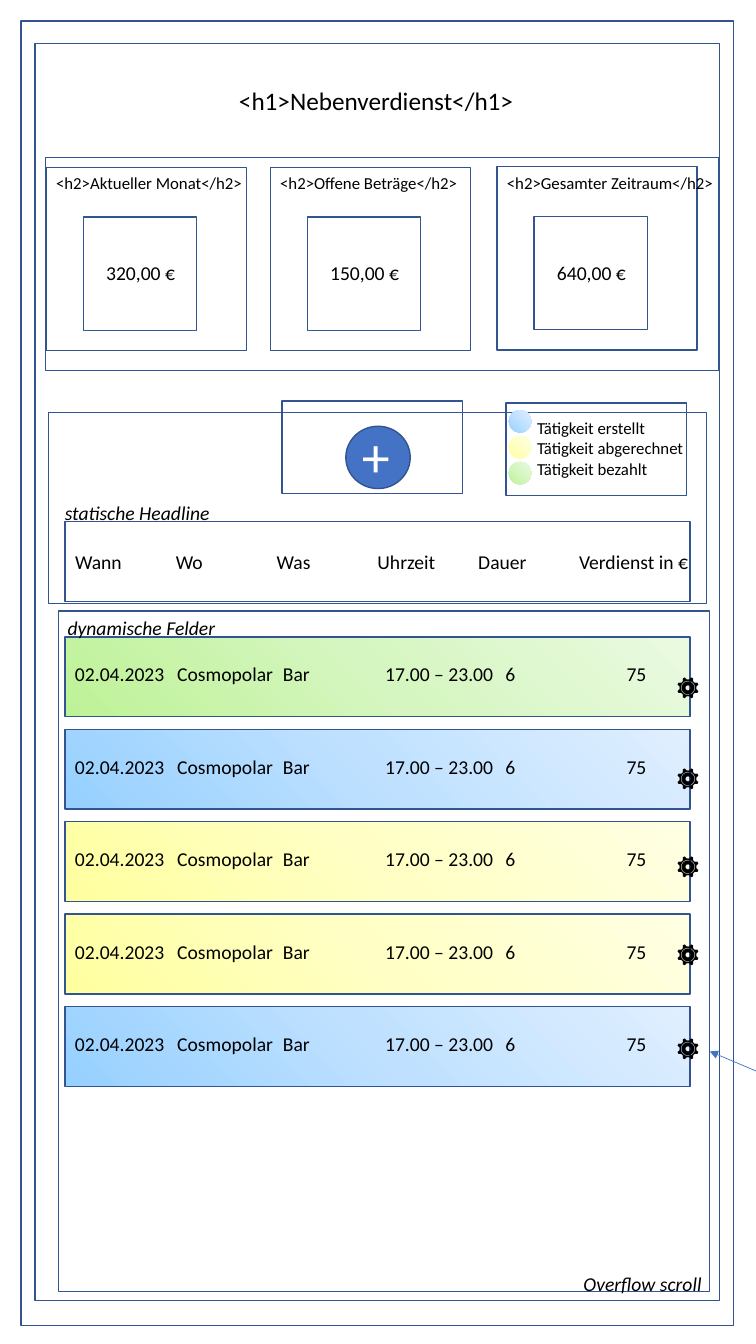
from lxml.etree import SubElement
from pptx import Presentation
from pptx.dml.color import RGBColor
from pptx.enum.shapes import MSO_CONNECTOR, MSO_SHAPE
from pptx.enum.text import MSO_ANCHOR, MSO_AUTO_SIZE as AutoSize, PP_ALIGN as Align
from pptx.oxml import parse_xml
from pptx.oxml.ns import nsdecls, qn
from pptx.util import Pt

COLORS = {"line": "325491", "accent": "4472C4", "text": "000000", "plus": "FFFFFF"}
STATUS = {
    "created": ("96D0FF", "BFE1FF", "E0EFFF"),
    "billed": ("FFFFA0", "FFFFC5", "FFFFE3"),
    "paid": ("BEF297", "D5F6C0", "EAFAE0"),
}
CARDS = [
    (33, 119.5, 149, "Aktueller Monat", "320,00 €"),
    (193, 119.5, 143, "Offene Beträge", "150,00 €"),
    (355, 119, 163.5, "Gesamter Zeitraum", "640,00 €"),
]
HEADERS = ["Wann", "Wo", "Was", "Uhrzeit", "Dauer", "Verdienst in €"]
HEADER_TABS = [72, 144, 216, 288, 360]
ENTRY = ["02.04.2023", "Cosmopolar", "Bar", "17.00 – 23.00", "6", "75"]
ENTRY_TABS = [73, 148.5, 221.5, 307.5, 394]
# Status of each entry and the top of its gear
ENTRIES = [("paid", 475), ("created", 540), ("billed", 603), ("billed", 666), ("created", 733)]


def rgb(name):
    return RGBColor.from_string(COLORS[name])


def fill_gradient(shape, stops):
    """Fill with three evenly spaced colours, rising to the right."""
    marks = "".join(
        f'<a:gs pos="{i * 50000}"><a:srgbClr val="{color}"/></a:gs>'
        for i, color in enumerate(stops)
    )
    gradient = parse_xml(
        f'<a:gradFill {nsdecls("a")} rotWithShape="1"><a:gsLst>{marks}</a:gsLst>'
        '<a:lin ang="18900000" scaled="0"/></a:gradFill>'
    )
    shape.element.spPr.find(qn("a:prstGeom")).addnext(gradient)


def add_figure(page, left, top, width, height, kind=MSO_SHAPE.RECTANGLE,
               fill=None, stops=None, outlined=True):
    shape = page.shapes.add_shape(kind, Pt(left), Pt(top), Pt(width), Pt(height))
    shape.shadow.inherit = False
    if stops:
        fill_gradient(shape, stops)
    elif fill:
        shape.fill.solid()
        shape.fill.fore_color.rgb = rgb(fill)
    else:
        shape.fill.background()
    if outlined:
        shape.line.color.rgb = rgb("line")
        shape.line.width = Pt(1)
    else:
        shape.line.fill.background()


def set_tabs(para, stops):
    tabs = SubElement(para._p.get_or_add_pPr(), qn("a:tabLst"))
    for stop in stops:
        SubElement(tabs, qn("a:tab"), pos=str(Pt(stop)), algn="l")


def write(box, text, size=14, color="text", italic=False, align=Align.LEFT, wrap=True, tabs=()):
    """Put text into a box, one paragraph a line."""
    frame = box.text_frame
    frame.word_wrap = wrap
    frame.auto_size = AutoSize.SHAPE_TO_FIT_TEXT
    frame.vertical_anchor = MSO_ANCHOR.TOP
    for i, line in enumerate(text.split("\n")):
        para = frame.add_paragraph() if i else frame.paragraphs[0]
        para.alignment = align
        if tabs:
            set_tabs(para, tabs)
        span = para.add_run()
        span.text = line
        span.font.name = "Calibri"
        span.font.size = Pt(size)
        span.font.italic = italic
        span.font.color.rgb = rgb(color)


def add_text(page, left, top, width, height, text, **style):
    box = page.shapes.add_textbox(Pt(left), Pt(top), Pt(width), Pt(height))
    write(box, text, **style)


def add_title(page, text):
    title = page.shapes.title
    title.left, title.top, title.width, title.height = Pt(163.5), Pt(57), Pt(213), Pt(29)
    write(title, text, size=18, wrap=False)


def add_arrow(page, start, end):
    arrow = page.shapes.add_connector(MSO_CONNECTOR.STRAIGHT, *map(Pt, start + end))
    arrow.line.color.rgb = rgb("accent")
    arrow.line.width = Pt(0.5)
    SubElement(arrow.line._get_or_add_ln(), qn("a:tailEnd"), type="triangle")
    SubElement(arrow._element.spPr, qn("a:effectLst"))


def add_card(page, left, top, heading_width, heading, value):
    add_figure(page, left, top, 143, 131)
    add_text(page, left, top + 0.7, heading_width, 22, f"<h2>{heading}</h2>", size=12, wrap=False)
    add_figure(page, left + 26.5, top + 35.5, 81, 81)
    add_text(page, left + 2.5, top + 63.5, 130, 24, value, align=Align.CENTER)


def add_entry(page, top, status, gear_top):
    add_figure(page, 46.5, top, 446.5, 57, stops=STATUS[status])
    add_text(page, 46.5, top + 14.5, 446.5, 24, "\t".join(ENTRY), tabs=ENTRY_TABS)
    add_text(page, 476, gear_top, 32, 29, "⚙️", size=18, wrap=False)


def add_legend(page):
    add_figure(page, 361.5, 288, 129, 66)
    add_text(page, 376.5, 295, 120, 51,
             "Tätigkeit erstellt\nTätigkeit abgerechnet\nTätigkeit bezahlt", size=12, wrap=False)
    for i, stops in enumerate(STATUS.values()):
        add_figure(page, 363.5, 293 + 18.5 * i, 16, 16, MSO_SHAPE.OVAL, stops=stops, outlined=False)


def add_plus_button(page):
    add_figure(page, 201.5, 286.5, 129, 66)
    add_figure(page, 247, 304.5, 46, 44.5, MSO_SHAPE.OVAL, fill="accent")
    add_text(page, 21.5, 297.5, 494, 55, "+", size=40, color="plus", align=Align.CENTER)


def main():
    deck = Presentation()
    deck.slide_width, deck.slide_height = Pt(540), Pt(960)
    page = deck.slides.add_slide(deck.slide_layouts[5])

    add_title(page, "<h1>Nebenverdienst</h1>")
    add_figure(page, 15, 15, 509, 932)
    add_figure(page, 25, 31, 489, 898)

    add_figure(page, 32.5, 112.5, 481, 152)
    for card in CARDS:
        add_card(page, *card)

    add_figure(page, 34.5, 294.5, 470, 136.5)
    add_plus_button(page)
    add_legend(page)
    add_figure(page, 46.5, 372.5, 446.5, 57)
    add_text(page, 46.5, 389, 472, 24, "\t".join(HEADERS), tabs=HEADER_TABS)

    add_figure(page, 42, 436.5, 465, 486)
    for i, (status, gear_top) in enumerate(ENTRIES):
        add_entry(page, 455 + 66 * i, status, gear_top)

    for left, top, caption in [(20, 354.5, "statische Headline"),
                               (23, 436.5, "dynamische Felder"),
                               (381, 905, "Overflow scroll")]:
        add_text(page, left, top, 156, 24, caption, italic=True, align=Align.CENTER)
    add_arrow(page, (540, 765), (507, 751))

    deck.save("out.pptx")


if __name__ == "__main__":
    main()
